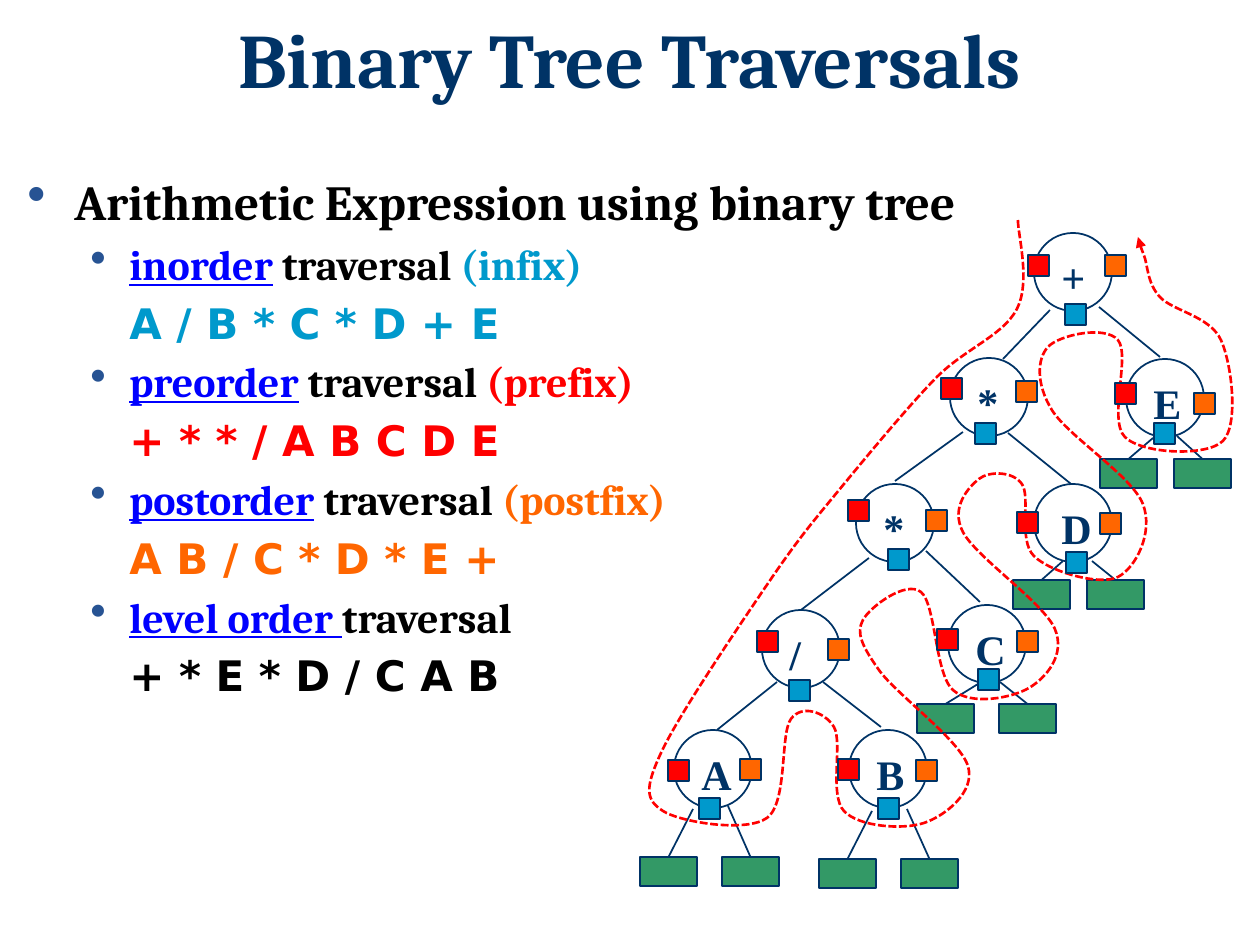
from lxml.etree import SubElement
from pptx import Presentation
from pptx.dml.color import RGBColor
from pptx.enum.dml import MSO_LINE
from pptx.enum.shapes import MSO_CONNECTOR, MSO_SHAPE as SHAPE
from pptx.enum.text import MSO_ANCHOR, PP_ALIGN
from pptx.oxml.ns import qn
from pptx.util import Emu, Pt

EMU_PER_PX = 914400 / 126
COLORS = {
    "navy": "003366", "black": "000000", "link": "0000FF", "bullet": "275393",
    "pre": "FF0000", "in": "0099CC", "post": "FF6600", "leaf": "339966",
}
SERIF, SANS, LABEL = "Cambria", "DejaVu Sans", "Times New Roman"
CIRCLE, MARKER, LEAF = 78, 21, (57, 29)

# label, circle corner, label width, then corners of the pre, in and post markers
NODES = [
    ("+", (1034, 233), 49, (1028, 255), (1065, 304), (1105, 255)),
    ("*", (950, 358), 47, (941, 378), (975, 423), (1016, 381)),
    ("*", (856, 484), 47, (848, 500), (888, 549), (926, 510)),
    ("/", (762, 610), 38, (757, 631), (789, 680), (828, 639)),
    ("A", (674, 730), 57, (668, 760), (699, 798), (740, 759)),
    ("B", (849, 730), 54, (838, 759), (878, 798), (916, 760)),
    ("C", (948, 605), 57, (937, 629), (978, 669), (1017, 631)),
    ("D", (1034, 484), 57, (1017, 512), (1066, 552), (1100, 513)),
    ("E", (1126, 359), 54, (1115, 383), (1154, 423), (1194, 393)),
]
EDGES = [
    ((1050, 310), (1003, 359)), ((963, 432), (895, 481)),
    ((869, 558), (801, 610)), ((777, 682), (717, 730)),
    ((1099, 307), (1160, 357)), ((1008, 433), (1071, 484)),
    ((926, 551), (980, 602)), ((823, 682), (881, 727)),
]
# leaf corner and the point on the parent circle where its edge starts
LEAVES = [
    ((640, 857), (693, 809)), ((722, 857), (728, 806)),
    ((819, 859), (872, 811)), ((901, 859), (907, 809)),
    ((917, 704), (978, 684)), ((999, 704), (1000, 682)),
    ((1013, 580), (1063, 561)), ((1087, 580), (1092, 561)),
    ((1100, 459), (1153, 438)), ((1174, 459), (1177, 436)),
]
WALK = [
    (1018, 220), (1017, 309), (935, 379), (840, 489), (769, 582), (662, 751),
    (663, 811), (767, 818), (791, 719), (834, 727), (844, 811), (924, 823),
    (968, 766), (879, 670), (863, 620), (921, 592), (953, 690), (1029, 688),
    (1055, 629), (963, 532), (979, 479), (1022, 484), (1034, 556), (1118, 577),
    (1143, 504), (1052, 410), (1048, 347), (1118, 340), (1125, 437), (1223, 441),
    (1221, 340), (1160, 297), (1144, 255), (1138, 237),
]
# underlined name, plain words, notation in brackets, resulting sequence, colour
TRAVERSALS = [
    ("inorder", " traversal ", "(infix)", "A / B * C * D + E", "in"),
    ("preorder", " traversal ", "(prefix)", "+ * * / A B C D E", "pre"),
    ("postorder", " traversal ", "(postfix)", "A B / C * D * E +", "post"),
    ("level order ", "traversal", "", "+ * E * D / C A B", "black"),
]


def px(*lengths):
    return [Emu(round(n * EMU_PER_PX)) for n in lengths]


def rgb(name):
    return RGBColor.from_string(COLORS[name])


def add_box(shapes, left, top, width, height, wrap=True):
    frame = shapes.add_textbox(*px(left, top, width, height)).text_frame
    frame.word_wrap = wrap
    frame.vertical_anchor = MSO_ANCHOR.TOP
    return frame


def add_span(para, text, size, font, color, underline=False):
    span = para.add_run()
    span.text = text
    span.font.size, span.font.name, span.font.bold = Pt(size), font, True
    span.font.color.rgb = rgb(color)
    if underline:
        span.font.underline = True


def format_item(para, margin, indent, bullet=True):
    """Set indents in px, space before of 20% and an optional bullet."""
    props = para._p.get_or_add_pPr()
    props.set("marL", str(px(margin)[0]))
    props.set("indent", str(px(indent)[0]))
    SubElement(SubElement(props, qn("a:spcBef")), qn("a:spcPct"), val="20000")
    if bullet:
        color = SubElement(props, qn("a:buClr"))
        SubElement(color, qn("a:srgbClr"), val=COLORS["bullet"])
        SubElement(props, qn("a:buSzPct"), val="110000")
        SubElement(props, qn("a:buChar"), char="•")
    else:
        SubElement(props, qn("a:buNone"))


def add_figure(shapes, kind, corner, size, fill=None, weight=1):
    figure = shapes.add_shape(kind, *px(*corner, *size))
    figure.shadow.inherit = False
    if fill:
        figure.fill.solid()
        figure.fill.fore_color.rgb = rgb(fill)
    else:
        figure.fill.background()
    figure.line.color.rgb = rgb("navy")
    figure.line.width = Pt(weight)
    return figure


def add_edge(shapes, start, end):
    edge = shapes.add_connector(MSO_CONNECTOR.STRAIGHT, *px(*start, *end))
    edge.line.color.rgb = rgb("navy")
    edge.line.width = Pt(1)
    SubElement(edge._element.spPr, qn("a:effectLst"))
    return edge


def add_node(shapes, label, corner, label_width):
    group = shapes.add_group_shape().shapes
    add_figure(group, SHAPE.OVAL, corner, (CIRCLE, CIRCLE))
    frame = add_box(group, corner[0] + 15, corner[1] + 12, label_width, 64, wrap=False)
    add_span(frame.paragraphs[0], label, 24, LABEL, "navy")


def add_leaf(shapes, corner, start):
    leaf = add_figure(shapes, SHAPE.RECTANGLE, corner, LEAF, "leaf")
    edge = add_edge(shapes, start, (corner[0] + LEAF[0] / 2, corner[1]))
    edge.end_connect(leaf, 0)


def smooth_handles(points):
    """Give two Bezier handles and the end point for each stretch of a smooth curve."""
    padded = [points[0], *points, points[-1]]
    stretches = []
    for before, start, end, after in zip(padded, padded[1:], padded[2:], padded[3:]):
        leave = [s + (e - b) / 6 for b, s, e in zip(before, start, end)]
        arrive = [e - (a - s) / 6 for s, e, a in zip(start, end, after)]
        stretches += [leave, arrive, end]
    return stretches


def add_walk(shapes):
    """Draw the dashed walk around the tree as one curve with an arrowhead."""
    builder = shapes.build_freeform(*WALK[0], scale=EMU_PER_PX)
    builder.add_line_segments(smooth_handles(WALK), close=False)
    walk = builder.convert_to_shape()
    outline = walk._element.find(".//" + qn("a:path"))
    lines = outline.findall(qn("a:lnTo"))
    for first in range(0, len(lines), 3):
        curve = SubElement(outline, qn("a:cubicBezTo"))
        for line in lines[first:first + 3]:
            curve.append(line[0])
            outline.remove(line)
    walk.shadow.inherit = False
    walk.fill.background()
    walk.line.color.rgb = rgb("pre")
    walk.line.width = Pt(1.5)
    walk.line.dash_style = MSO_LINE.SQUARE_DOT
    SubElement(walk.line._get_or_add_ln(), qn("a:tailEnd"), type="triangle")


def add_texts(shapes):
    title = add_box(shapes, 63, 16, 1134, 158).paragraphs[0]
    title.alignment, title.line_spacing = PP_ALIGN.CENTER, 0.9
    add_span(title, "Binary Tree Traversals", 44, SERIF, "navy")

    body = add_box(shapes, 15, 165, 1134, 605)
    heading = body.paragraphs[0]
    format_item(heading, 47, -47)
    add_span(heading, "Arithmetic Expression using binary tree", 28, SERIF, "black")
    for name, words, notation, sequence, color in TRAVERSALS:
        item, result = body.add_paragraph(), body.add_paragraph()
        item.level = result.level = 1
        format_item(item, 102, -39)
        add_span(item, name, 24, SERIF, "link", underline=True)
        add_span(item, words, 24, SERIF, "black")
        if notation:
            add_span(item, notation, 24, SERIF, color)
        format_item(result, 102, 0, bullet=False)
        add_span(result, sequence, 24, SANS, color)


def main():
    deck = Presentation()
    deck.slide_width, deck.slide_height = px(1260, 945)
    shapes = deck.slides.add_slide(deck.slide_layouts[6]).shapes
    add_texts(shapes)
    for label, corner, label_width, *_ in NODES:
        add_node(shapes, label, corner, label_width)
    for start, end in EDGES:
        add_edge(shapes, start, end)
    for corner, start in LEAVES:
        add_leaf(shapes, corner, start)
    add_walk(shapes)
    for _, _, _, *markers in NODES:
        for order, corner in zip(("pre", "in", "post"), markers):
            add_figure(shapes, SHAPE.RECTANGLE, corner, (MARKER, MARKER), order, 0.75)
    deck.save("out.pptx")


if __name__ == "__main__":
    main()
